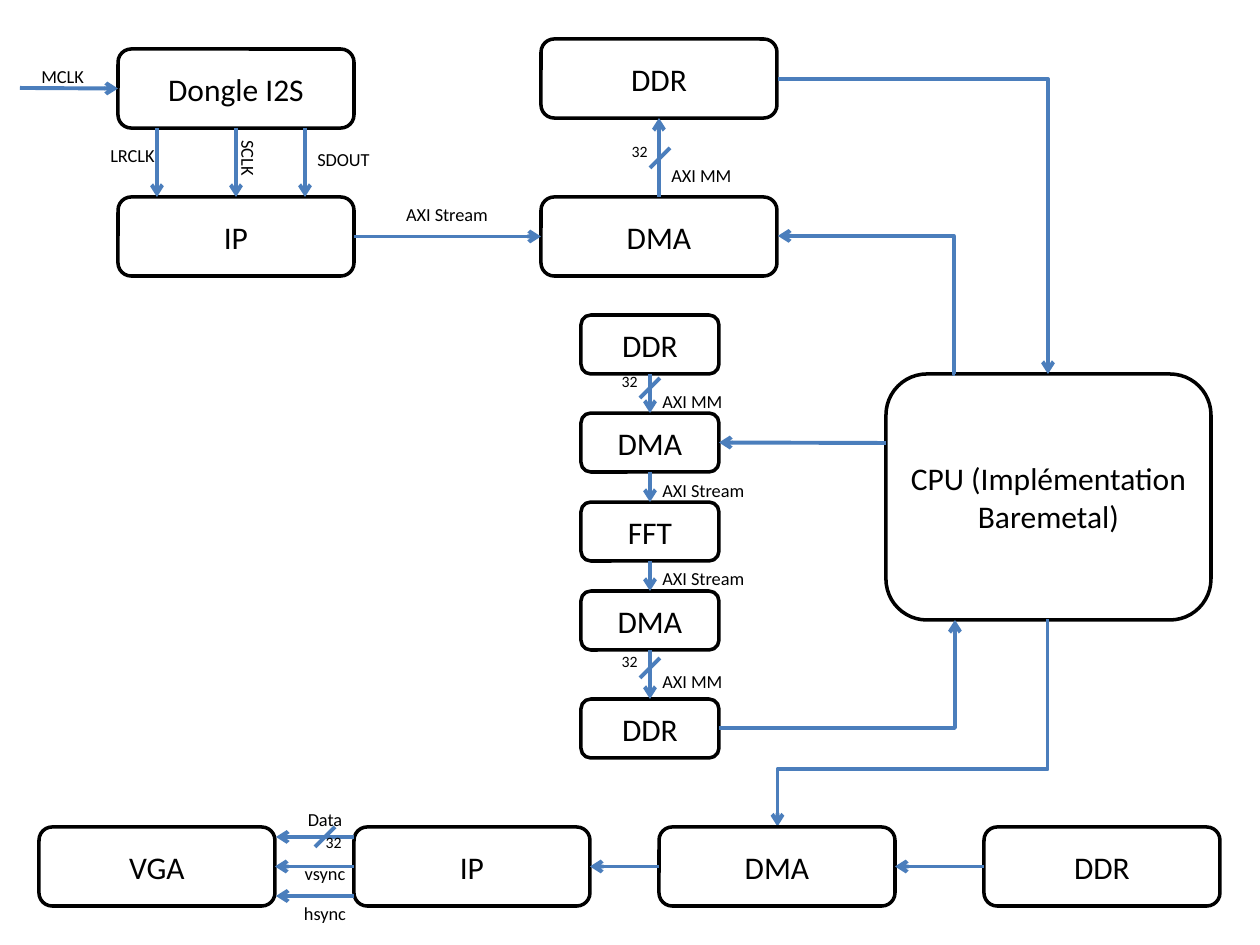
from lxml import etree
from pptx import Presentation
from pptx import util as u
from pptx.dml.color import RGBColor
from pptx.enum import shapes, text
from pptx.oxml import ns

BLACK = RGBColor(0x00, 0x00, 0x00)
BLUE = RGBColor(0x4B, 0x7E, 0xBC)
LEFT, CENTER, RIGHT = text.PP_ALIGN.LEFT, text.PP_ALIGN.CENTER, text.PP_ALIGN.RIGHT
TOP_SIDE, LEFT_SIDE, BOTTOM_SIDE, RIGHT_SIDE = range(4)
LARGE = (236, 79)
SMALL = (138, 59)


def px(n):
    return u.Emu(round(n * 914400 / 126))


def write(tf, words, size, align):
    tf.word_wrap = True
    tf.text = words
    p = tf.paragraphs[0]
    p.alignment = align
    font = p.runs[0].font
    font.name = "Calibri"
    font.size = u.Pt(size)
    font.color.rgb = BLACK


def block(s, words, x, y, size):
    sp = s.shapes.add_shape(shapes.MSO_SHAPE.ROUNDED_RECTANGLE,
                            px(x), px(y), px(size[0]), px(size[1]))
    sp.shadow.inherit = False
    sp.fill.background()
    sp.line.color.rgb = BLACK
    sp.line.width = u.Pt(2)
    sp.text_frame.vertical_anchor = text.MSO_ANCHOR.MIDDLE
    write(sp.text_frame, words, 18, CENTER)
    return sp


def label(s, words, x, y, w, align=LEFT, size=10.5, rotation=0):
    sp = s.shapes.add_textbox(px(x), px(y), px(w), px(32 if size < 10 else 35))
    sp.rotation = rotation
    sp.text_frame.auto_size = text.MSO_AUTO_SIZE.SHAPE_TO_FIT_TEXT
    write(sp.text_frame, words, size, align)


def connector(s, x1, y1, x2, y2, kind=shapes.MSO_CONNECTOR.STRAIGHT, arrow=True):
    c = s.shapes.add_connector(kind, px(x1), px(y1), px(x2), px(y2))
    c.line.color.rgb = BLUE
    c.line.width = u.Pt(2.25)
    if arrow:
        etree.SubElement(c.line._get_or_add_ln(), ns.qn("a:tailEnd"), type="arrow")
    etree.SubElement(c._element.spPr, ns.qn("a:effectLst"))
    return c


def join(s, start, start_side, end, end_side):
    c = connector(s, 0, 0, 0, 0)
    c.begin_connect(start, start_side)
    c.end_connect(end, end_side)


def elbow(s, x1, y1, x2, y2, bend=None):
    c = connector(s, x1, y1, x2, y2, shapes.MSO_CONNECTOR.ELBOW)
    geometry = c._element.spPr.find(ns.qn("a:prstGeom"))
    if bend is None:
        geometry.set("prst", "bentConnector2")
    else:
        guides = geometry.find(ns.qn("a:avLst"))
        etree.SubElement(guides, ns.qn("a:gd"), name="adj1", fmla=f"val {bend}")
    return c


def upright_elbow(s, x1, y1, x2, y2, bend):
    w, h = y2 - y1, x1 - x2
    x, y = (x1 + x2 - w) // 2, (y1 + y2 - h) // 2
    c = elbow(s, x, y, x + w, y + h, bend)
    c._element.spPr.find(ns.qn("a:xfrm")).set("rot", "5400000")


def bus_width(s, x, y, dx=-39, dy=-32):
    connector(s, x, y, x + 20, y - 20, arrow=False)
    label(s, "32", x + dx, y + dy, 49, RIGHT, 9)


def draw_input(s):
    dongle = block(s, "Dongle I2S", 118, 49, LARGE)
    ip = block(s, "IP", 118, 197, LARGE)
    dma = block(s, "DMA", 541, 197, LARGE)
    ddr = block(s, "DDR", 541, 39, LARGE)
    mclk = connector(s, 20, 88, 118, 88)
    mclk.end_connect(dongle, LEFT_SIDE)
    for x in (157, 305):
        connector(s, x, 128, x, 197)
    join(s, dongle, BOTTOM_SIDE, ip, TOP_SIDE)
    join(s, ip, RIGHT_SIDE, dma, LEFT_SIDE)
    join(s, dma, TOP_SIDE, ddr, BOTTOM_SIDE)
    label(s, "MCLK", 29, 59, 69)
    label(s, "LRCLK", 88, 138, 79, RIGHT)
    label(s, "SCLK", 214, 145, 69, rotation=90)
    label(s, "SDOUT", 305, 142, 98)
    label(s, "AXI Stream", 364, 197, 166, CENTER)
    label(s, "AXI MM", 659, 158, 98)
    bus_width(s, 650, 168)


def draw_processing(s):
    cpu = block(s, "CPU (Implémentation Baremetal)", 886, 374, (325, 246))
    names = ("DDR", "DMA", "FFT", "DMA", "DDR")
    tops = (315, 413, 502, 591, 699)
    chain = [block(s, name, 581, y, SMALL) for name, y in zip(names, tops)]
    for upper, lower in zip(chain, chain[1:]):
        join(s, upper, BOTTOM_SIDE, lower, TOP_SIDE)
    to_dma = connector(s, 886, 443, 719, 443)
    to_dma.end_connect(chain[1], RIGHT_SIDE)
    elbow(s, 778, 79, 1048, 374)
    elbow(s, 955, 374, 778, 236, 700)
    elbow(s, 719, 728, 955, 620)
    upright_elbow(s, 1048, 620, 778, 827, 72300)
    for y, tick in ((384, 398), (664, 678)):
        label(s, "AXI MM", 650, y, 98)
        bus_width(s, 640, tick)
    for y in (473, 561):
        label(s, "AXI Stream", 650, y, 136)


def draw_output(s):
    names = ("DDR", "DMA", "IP", "VGA")
    lefts = (984, 659, 354, 39)
    row = [block(s, name, x, 827, LARGE) for name, x in zip(names, lefts)]
    for start, end in zip(row, row[1:]):
        join(s, start, LEFT_SIDE, end, RIGHT_SIDE)
    for y in (837, 896):
        connector(s, 354, y, 276, y)
    for words, y in (("Data", 802), ("vsync", 856), ("hsync", 896)):
        label(s, words, 266, y, 118, CENTER)
    bus_width(s, 315, 847, -10, -20)


def main():
    prs = Presentation()
    prs.slide_width, prs.slide_height = px(1260), px(945)
    s = prs.slides.add_slide(prs.slide_layouts[6])
    draw_input(s)
    draw_processing(s)
    draw_output(s)
    prs.save("out.pptx")


if __name__ == "__main__":
    main()
